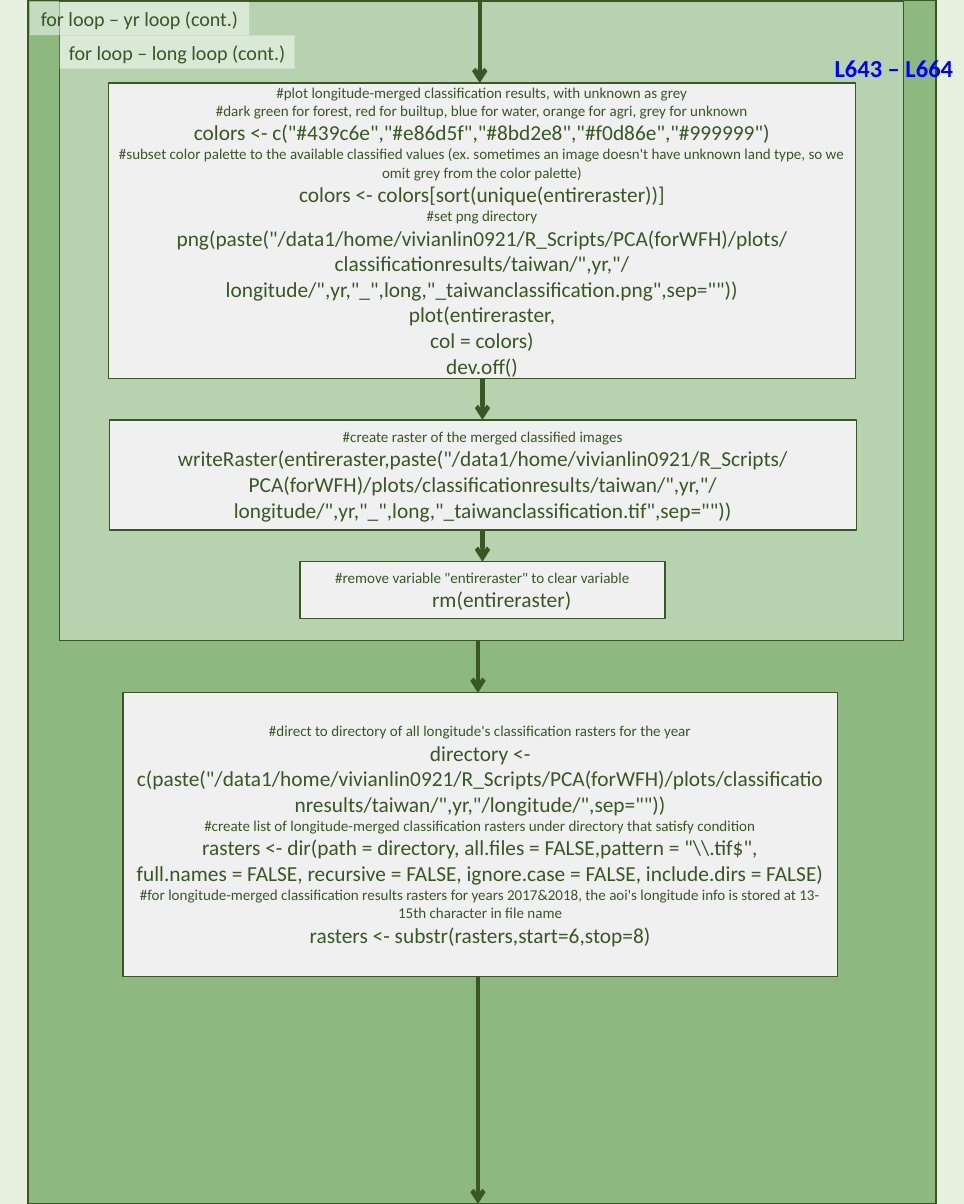
"""Build the flowchart slide of the classification plotting loops."""
import lxml.etree
import pptx
import pptx.dml.color
import pptx.enum.shapes
import pptx.enum.text
import pptx.oxml.ns
import pptx.util

RGBColor = pptx.dml.color.RGBColor
SHAPE = pptx.enum.shapes.MSO_SHAPE
ALIGN = pptx.enum.text.PP_ALIGN

PAGE = RGBColor(0xE6, 0xF1, 0xDF)
YEAR_LOOP = RGBColor(0x8D, 0xB9, 0x81)
LONGITUDE_LOOP = RGBColor(0xB6, 0xD2, 0xAE)
STEP = RGBColor(0xF0, 0xF0, 0xF0)
WHITE = RGBColor(0xFF, 0xFF, 0xFF)
DARK_GREEN = RGBColor(0x38, 0x57, 0x23)
BLUE = RGBColor(0x00, 0x00, 0xFF)

WIDTH = pptx.util.Inches(10.67)
HEIGHT = pptx.util.Inches(13.33)
FONT = "Calibri"
COMMENT_SIZE = 12
CODE_SIZE = 17

PLOT_STEP = [
    "#plot longitude-merged classification results, with unknown as grey",
    "#dark green for forest, red for builtup, blue for water, orange for agri, grey for unknown",
    'colors <- c("#439c6e","#e86d5f","#8bd2e8","#f0d86e","#999999")',
    "#subset color palette to the available classified values (ex. sometimes an image "
    "doesn't have unknown land type, so we omit grey from the color palette)",
    "colors <- colors[sort(unique(entireraster))]",
    "#set png directory",
    'png(paste("/data1/home/vivianlin0921/R_Scripts/PCA(forWFH)/plots/classificationresults'
    '/taiwan/",yr,"/longitude/",yr,"_",long,"_taiwanclassification.png",sep=""))',
    "plot(entireraster,",
    "col = colors)",
    "dev.off()",
]
RASTER_STEP = [
    "#create raster of the merged classified images",
    'writeRaster(entireraster,paste("/data1/home/vivianlin0921/R_Scripts/PCA(forWFH)/plots/'
    'classificationresults/taiwan/",yr,"/longitude/",yr,"_",long,'
    '"_taiwanclassification.tif",sep=""))',
]
REMOVE_STEP = [
    '#remove variable "entireraster" to clear variable',
    "        rm(entireraster)",
]
DIRECTORY_STEP = [
    "#direct to directory of all longitude's classification rasters for the year",
    'directory <- c(paste("/data1/home/vivianlin0921/R_Scripts/PCA(forWFH)/plots/'
    'classificationresults/taiwan/",yr,"/longitude/",sep=""))',
    "#create list of longitude-merged classification rasters under directory that satisfy condition",
    'rasters <- dir(path = directory, all.files = FALSE,pattern = "\\\\.tif$",',
    "full.names = FALSE, recursive = FALSE, ignore.case = FALSE, include.dirs = FALSE)",
    "#for longitude-merged classification results rasters for years 2017&2018, "
    "the aoi's longitude info is stored at 13-15th character in file name",
    "rasters <- substr(rasters,start=6,stop=8)",
]


def across(percent):
    """Turn a percentage of the slide width into a length."""
    return int(WIDTH * percent / 100)


def down(percent):
    """Turn a percentage of the slide height into a length."""
    return int(HEIGHT * percent / 100)


def place(left, top, width, height):
    """Turn four percentages into a position and size."""
    return across(left), down(top), across(width), down(height)


def write(shape, lines, size=None, color=DARK_GREEN, bold=False, align=ALIGN.CENTER, wrap=False):
    """Fill a shape with lines, sizing comments and code apart unless a size is given."""
    frame = shape.text_frame
    frame.word_wrap = wrap
    frame.vertical_anchor = pptx.enum.text.MSO_ANCHOR.MIDDLE
    for index, line in enumerate(lines):
        paragraph = frame.paragraphs[0] if index == 0 else frame.add_paragraph()
        paragraph.alignment = align
        run = paragraph.add_run()
        run.text = line
        run.font.name = FONT
        run.font.size = pptx.util.Pt(size or (COMMENT_SIZE if line.startswith("#") else CODE_SIZE))
        run.font.bold = bold
        run.font.color.rgb = color


def add_box(slide, area, fill, outline=None, kind=SHAPE.RECTANGLE):
    """Add a filled box, outlined when a line width is given."""
    shape = slide.shapes.add_shape(kind, *place(*area))
    shape.shadow.inherit = False
    shape.fill.solid()
    shape.fill.fore_color.rgb = fill
    if outline:
        shape.line.color.rgb = DARK_GREEN
        shape.line.width = pptx.util.Pt(outline)
    else:
        shape.line.fill.background()
    return shape


def add_loop_label(slide, area, text):
    """Add a half-transparent white label that names a loop."""
    label = add_box(slide, area, WHITE)
    color = label.fill._xPr.find(".//" + pptx.oxml.ns.qn("a:srgbClr"))
    lxml.etree.SubElement(color, pptx.oxml.ns.qn("a:alpha"), val="50000")
    write(label, [text], size=16)


def add_step(slide, area, lines):
    """Add a process box with comments and code."""
    step = add_box(slide, area, STEP, outline=1, kind=SHAPE.FLOWCHART_PROCESS)
    write(step, lines, wrap=True)


def add_arrow(slide, column, start, end):
    """Add a downward arrow."""
    arrow = slide.shapes.add_connector(
        pptx.enum.shapes.MSO_CONNECTOR.STRAIGHT,
        across(column), down(start), across(column), down(end))
    arrow.line.color.rgb = DARK_GREEN
    arrow.line.width = pptx.util.Pt(3.5)
    line = arrow.line._get_or_add_ln()
    lxml.etree.SubElement(line, pptx.oxml.ns.qn("a:tailEnd"), type="arrow")
    lxml.etree.SubElement(arrow._element.spPr, pptx.oxml.ns.qn("a:effectLst"))


def main():
    """Build and save the slide."""
    presentation = pptx.Presentation()
    presentation.slide_width, presentation.slide_height = WIDTH, HEIGHT
    slide = presentation.slides.add_slide(presentation.slide_layouts[6])
    slide.background.fill.solid()
    slide.background.fill.fore_color.rgb = PAGE

    add_box(slide, (2.91, 0, 94.19, 100), YEAR_LOOP, outline=2.25)
    add_box(slide, (6.19, 0.15, 87.54, 53.04), LONGITUDE_LOOP, outline=1)
    add_loop_label(slide, (6.19, 2.93, 24.37, 2.78), "for loop – long loop (cont.)")
    add_loop_label(slide, (3.09, 0.15, 22.77, 2.78), "for loop – yr loop (cont.)")

    line_range = slide.shapes.add_textbox(*place(85.66, 3.98, 14.43, 3.23))
    write(line_range, ["L643 – L664"], size=19.5, color=BLUE, bold=True, align=ALIGN.LEFT)

    for area, lines in (
        ((11.25, 6.9, 77.51, 24.53), PLOT_STEP),
        ((11.34, 34.88, 77.51, 9.15), RASTER_STEP),
        ((31.12, 46.66, 37.86, 4.73), REMOVE_STEP),
        ((12.75, 57.54, 74.13, 23.56), DIRECTORY_STEP),
    ):
        add_step(slide, area, lines)

    for column, start, end in (
        (49.77, 0.15, 6.9),
        (50.05, 31.43, 34.88),
        (50.05, 44.03, 46.66),
        (49.58, 53.19, 57.54),
        (49.58, 81.1, 100),
    ):
        add_arrow(slide, column, start, end)

    presentation.save("out.pptx")


if __name__ == "__main__":
    main()
